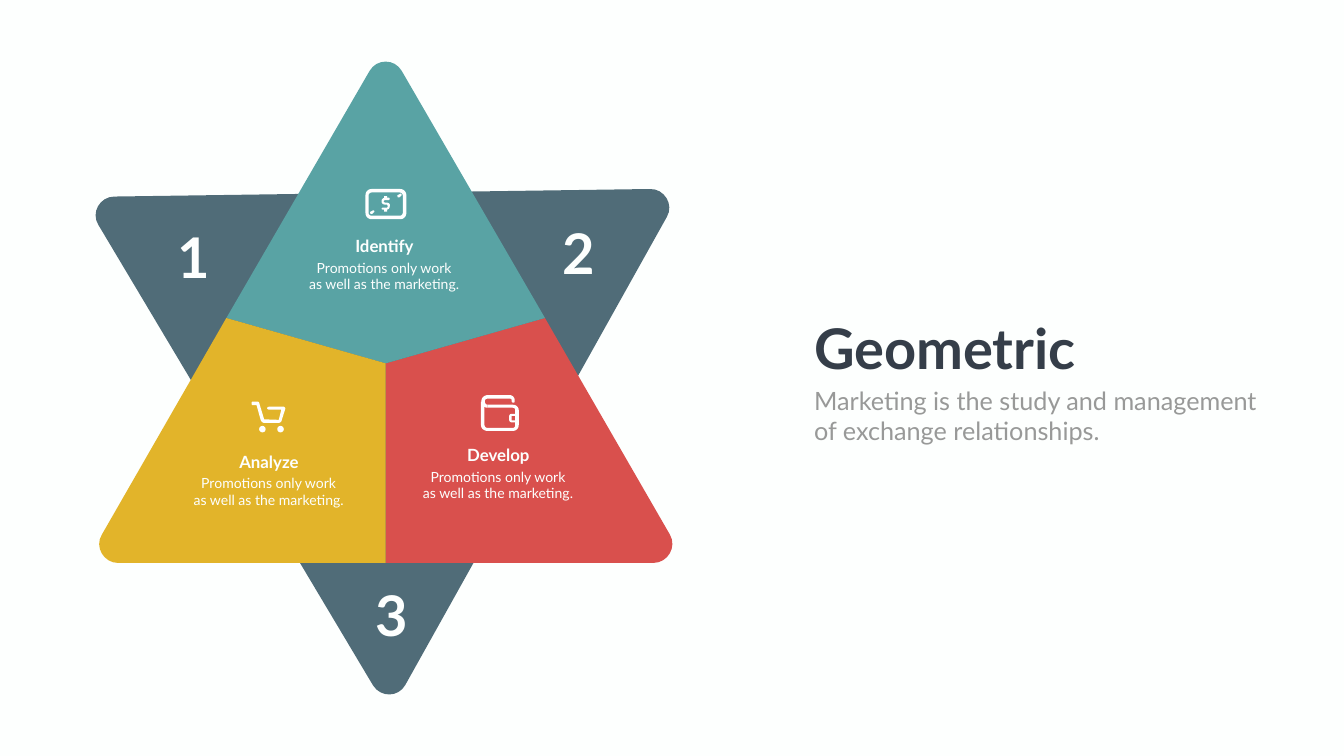
from pptx import Presentation
from pptx import util as u
from pptx.dml.color import RGBColor
from pptx.enum import shapes, text

SLATE = RGBColor(0x50, 0x6C, 0x78)
RED = RGBColor(0xD9, 0x50, 0x4D)
TEAL = RGBColor(0x59, 0xA3, 0xA4)
GOLD = RGBColor(0xE2, 0xB4, 0x2A)
WHITE = RGBColor(0xFF, 0xFF, 0xFF)
PAPER = RGBColor(0xFD, 0xFF, 0xFE)
INK = RGBColor(0x35, 0x3E, 0x49)
GREY = RGBColor(0x98, 0x99, 0x98)

NUMBER = dict(size=u.Pt(80), bold=True, color=PAPER)
HEADLINE = dict(NUMBER, color=INK)
SUBTITLE = dict(size=u.Pt(36), bold=False, color=GREY)
CAPTION_HEAD = dict(size=u.Pt(24), bold=True, color=PAPER)
CAPTION_BODY = dict(size=u.Pt(20), bold=False, color=PAPER)
CURVE_STEPS = 8


def paint(shape, color):
    shape.shadow.inherit = False
    shape.fill.solid()
    shape.fill.fore_color.rgb = color
    shape.line.fill.background()


def flatten(contour):
    """Turn a contour into points: a pair is a corner, six numbers are a cubic curve."""
    points = [contour[0]]
    for step in contour[1:]:
        if len(step) == 2:
            points.append(step)
            continue
        nodes = [points[-1], step[:2], step[2:4], step[4:]]
        for i in range(1, CURVE_STEPS + 1):
            t = i / CURVE_STEPS
            weights = ((1 - t) ** 3, 3 * t * (1 - t) ** 2, 3 * t * t * (1 - t), t ** 3)
            points.append(tuple(sum(w * node[axis] for w, node in zip(weights, nodes))
                                for axis in (0, 1)))
    return points


def add_outline(slide, left, top, color, *contours):
    """Fill the contours, given in inches from left and top, as one shape."""
    builder = None
    for contour in contours:
        start, *rest = [(u.Inches(left + x), u.Inches(top + y)) for x, y in flatten(contour)]
        if builder is None:
            builder = slide.shapes.build_freeform(*start)
        else:
            builder.move_to(*start)
        builder.add_line_segments(rest, close=True)
    paint(builder.convert_to_shape(), color)


def add_preset(slide, kind, left, top, width, height):
    paint(slide.shapes.add_shape(kind, *map(u.Inches, (left, top, width, height))), WHITE)


def rounded(x, y, w, h, r):
    """Contour of a rounded rectangle."""
    k, right, bottom = r * 0.45, x + w, y + h
    return [(x + r, y), (right - r, y), (right - k, y, right, y + k, right, y + r),
            (right, bottom - r), (right, bottom - k, right - k, bottom, right - r, bottom),
            (x + r, bottom), (x + k, bottom, x, bottom - k, x, bottom - r),
            (x, y + r), (x, y + k, x + k, y, x + r, y)]


def add_text(slide, left, top, width, height, lines, style, align=None, wrap=True):
    box = slide.shapes.add_textbox(*map(u.Inches, (left, top, width, height)))
    frame = box.text_frame
    frame.word_wrap = wrap
    frame.text = "\n".join(lines)
    for paragraph in frame.paragraphs:
        paragraph.alignment = align
        for run in paragraph.runs:
            run.font.name = "Lato"
            for key, value in style.items():
                if key == "color":
                    run.font.color.rgb = value
                else:
                    setattr(run.font, key, value)


def add_banknote(slide, left, top):
    add_outline(slide, left, top, WHITE, rounded(0, 0, 0.81, 0.6, 0.12),
                rounded(0.06, 0.07, 0.68, 0.46, 0.06))
    dollar = [
        (0.41, 0.41), (0.35, 0.41), (0.33, 0.41, 0.32, 0.4, 0.32, 0.39),
        (0.32, 0.38, 0.33, 0.37, 0.35, 0.37), (0.42, 0.37),
        (0.43, 0.37, 0.44, 0.36, 0.44, 0.35), (0.44, 0.32, 0.43, 0.31, 0.42, 0.31),
        (0.4, 0.31), (0.35, 0.31, 0.32, 0.29, 0.32, 0.25),
        (0.31, 0.21, 0.35, 0.17, 0.4, 0.17), (0.46, 0.17),
        (0.47, 0.17, 0.48, 0.18, 0.48, 0.19), (0.48, 0.21, 0.47, 0.22, 0.46, 0.22),
        (0.4, 0.22), (0.38, 0.22, 0.36, 0.23, 0.36, 0.25),
        (0.36, 0.26, 0.38, 0.27, 0.4, 0.27), (0.42, 0.27),
        (0.46, 0.27, 0.5, 0.3, 0.48, 0.35), (0.48, 0.39, 0.45, 0.41, 0.41, 0.41)]
    add_outline(slide, left, top, WHITE, dollar)
    for bar_top in (0.14, 0.39):
        add_preset(slide, shapes.MSO_SHAPE.RECTANGLE, left + 0.37, top + bar_top, 0.06, 0.06)
    corner_mark = [
        (0.05, 0.01), (0.01, 0.03), (0, 0.03, 0, 0.05, 0.01, 0.07),
        (0.01, 0.08, 0.03, 0.08, 0.05, 0.07), (0.08, 0.04),
        (0.09, 0.04, 0.09, 0.02, 0.08, 0.01), (0.08, 0, 0.06, 0, 0.05, 0.01)]
    for dx, dy in ((0.63, 0.09), (0.09, 0.42)):
        add_outline(slide, left + dx, top + dy, WHITE, corner_mark)


def add_cart(slide, left, top):
    basket = [
        (0.54, 0.42), (0.25, 0.42), (0.22, 0.42, 0.19, 0.39, 0.18, 0.36), (0.1, 0.07),
        (0.02, 0.07), (0.01, 0.07, 0, 0.05, 0, 0.03), (0, 0.01, 0.01, 0, 0.02, 0),
        (0.12, 0), (0.14, 0, 0.15, 0.01, 0.15, 0.02), (0.25, 0.35), (0.54, 0.36),
        (0.59, 0.16), (0.35, 0.16), (0.33, 0.16, 0.31, 0.14, 0.31, 0.13),
        (0.31, 0.11, 0.33, 0.1, 0.35, 0.1), (0.64, 0.1),
        (0.65, 0.1, 0.67, 0.12, 0.67, 0.14), (0.6, 0.36),
        (0.6, 0.39, 0.57, 0.42, 0.54, 0.42)]
    add_outline(slide, left, top, WHITE, basket)
    for wheel_left in (0.15, 0.51):
        add_preset(slide, shapes.MSO_SHAPE.OVAL, left + wheel_left, top + 0.48, 0.13, 0.13)


def add_wallet(slide, left, top):
    add_outline(slide, left, top, WHITE, rounded(0.56, 0.37, 0.19, 0.17, 0.05),
                [(0.61, 0.41), (0.7, 0.41), (0.7, 0.5), (0.61, 0.5)])
    body = [
        (0.63, 0.71), (0.13, 0.71), (0.06, 0.71, 0, 0.66, 0, 0.59), (0, 0.13),
        (0.07, 0.13), (0.07, 0.59), (0.07, 0.63, 0.1, 0.65, 0.13, 0.65), (0.63, 0.65),
        (0.66, 0.65, 0.68, 0.63, 0.68, 0.59), (0.68, 0.3),
        (0.68, 0.27, 0.66, 0.25, 0.63, 0.25), (0.13, 0.25), (0.13, 0.19), (0.63, 0.19),
        (0.7, 0.19, 0.75, 0.24, 0.75, 0.3), (0.75, 0.59),
        (0.75, 0.66, 0.7, 0.71, 0.63, 0.71)]
    flap = [
        (0.13, 0.25), (0.06, 0.25, 0, 0.19, 0.01, 0.11), (0.01, 0.05, 0.07, 0, 0.13, 0),
        (0.57, 0), (0.63, 0, 0.67, 0.05, 0.67, 0.1), (0.67, 0.12),
        (0.67, 0.14, 0.66, 0.15, 0.64, 0.15), (0.63, 0.15, 0.61, 0.14, 0.61, 0.12),
        (0.61, 0.1), (0.61, 0.08, 0.6, 0.07, 0.57, 0.07), (0.13, 0.07),
        (0.1, 0.07, 0.08, 0.09, 0.08, 0.11), (0.07, 0.15, 0.1, 0.19, 0.13, 0.19)]
    for part in (body, flap):
        add_outline(slide, left, top, WHITE, part)


def add_caption(slide, left, top, heading):
    center = text.PP_ALIGN.CENTER
    add_text(slide, left + 0.74, top, 1.89, 0.5, [heading], CAPTION_HEAD, center)
    add_text(slide, left, top + 0.46, 3.36, 0.77,
             ["Promotions only work", "as well as the marketing."], CAPTION_BODY, center)


def add_star(slide, left, top):
    hub, base = (5.85, 6.05), (5.85, 10.01)
    left_joint, right_joint = (2.69, 5.15), (9.01, 5.15)
    back = [(11.09, 2.59), (0.47, 2.74), (0.18, 2.74, 0, 3.06, 0.15, 3.3), (5.6, 12.44),
            (5.75, 12.68, 6.1, 12.68, 6.24, 12.43), (11.43, 3.14),
            (11.57, 2.9, 11.38, 2.58, 11.09, 2.59)]
    develop = [right_joint, (11.49, 9.45), (11.63, 9.69, 11.45, 10.01, 11.16, 10.01), base, hub]
    identify = [left_joint, (5.53, 0.25), (5.67, 0, 6.03, 0, 6.17, 0.25), right_joint, hub]
    analyze = [left_joint, (0.22, 9.45), (0.07, 9.69, 0.26, 10.01, 0.54, 10.01), base, hub]
    for color, contour in ((SLATE, back), (RED, develop), (TEAL, identify), (GOLD, analyze)):
        add_outline(slide, left, top, color, contour)

    add_cart(slide, left + 3.19, top + 6.81)
    add_banknote(slide, left + 5.45, top + 2.59)
    add_wallet(slide, left + 7.74, top + 6.68)
    for number, x, y in (("1", 1.62, 3.21), ("2", 9.26, 3.12), ("3", 5.54, 10.31)):
        add_text(slide, left + x, top + y, 0.85, 1.45, [number], NUMBER, wrap=False)
    for heading, x, y in (("Identify", 4.14, 3.47), ("Analyze", 1.85, 7.75),
                          ("Develop", 6.4, 7.62)):
        add_caption(slide, left + x, top + y, heading)


def add_headline(slide, left, top):
    add_text(slide, left, top, 5.49, 1.45, ["Geometric"], HEADLINE, wrap=False)
    add_text(slide, left, top + 1.42, 9.74, 1.31,
             ["Marketing is the study and management", "of exchange relationships."], SUBTITLE)


def main():
    deck = Presentation()
    deck.slide_width, deck.slide_height = u.Inches(26.66), u.Inches(15)
    slide = deck.slides.add_slide(deck.slide_layouts[6])
    slide.background.fill.solid()
    slide.background.fill.fore_color.rgb = PAPER
    add_star(slide, 1.8, 1.16)
    add_headline(slide, 16.05, 6.17)
    deck.save("out.pptx")


if __name__ == "__main__":
    main()
